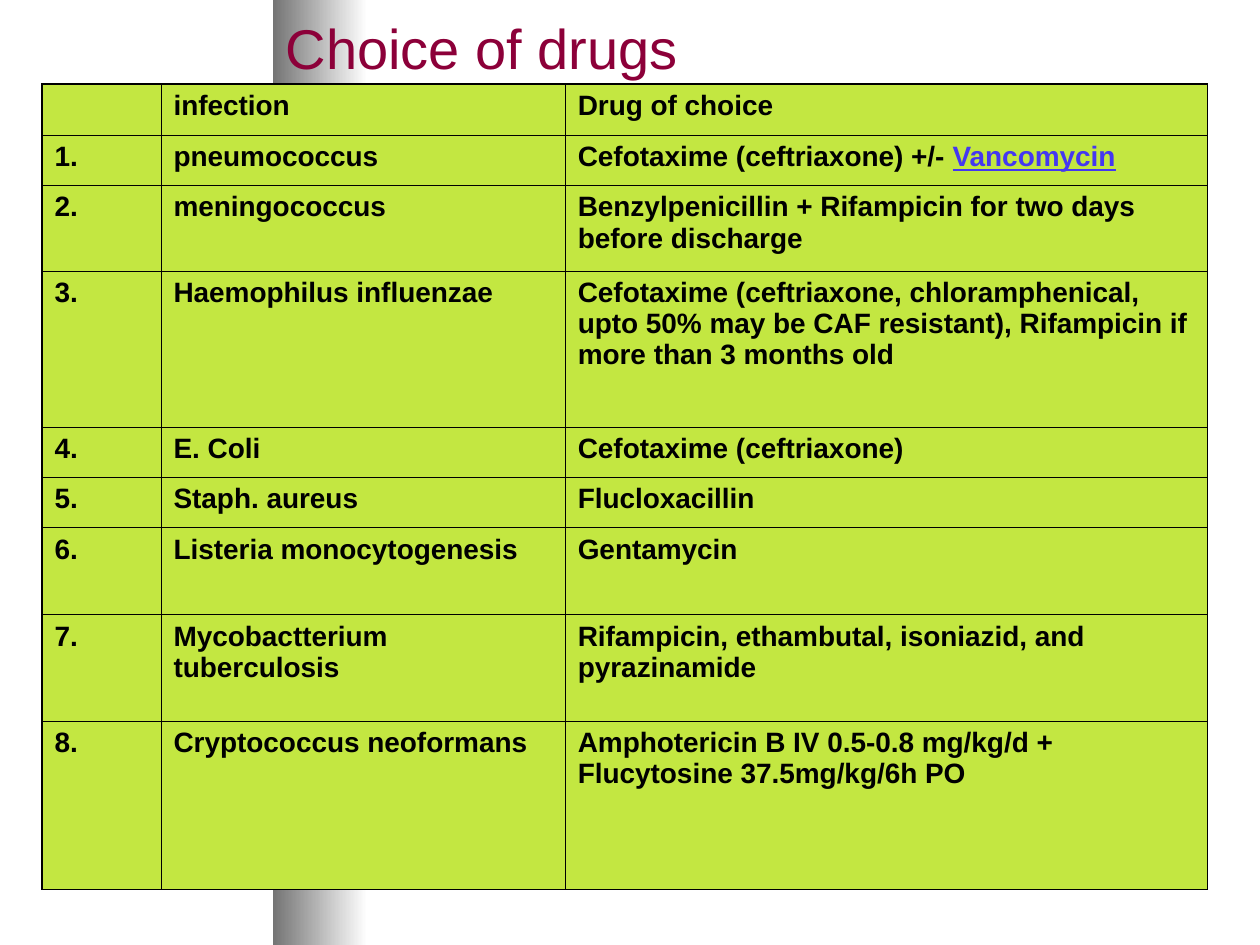
from dataclasses import dataclass

from lxml.etree import SubElement
from pptx import Presentation
from pptx.dml.color import RGBColor
from pptx.enum.shapes import MSO_SHAPE
from pptx.enum.text import MSO_ANCHOR, PP_ALIGN
from pptx.oxml.ns import qn
from pptx.util import Pt


@dataclass(frozen=True)
class Theme:
    font: str = "Arial"
    title_size: int = 32
    cell_size: int = 16
    title: str = "8C0039"
    text: str = "000000"
    link: str = "4437F1"
    cell: str = "C3E741"
    border: str = "000000"
    band_start: str = "747474"
    band_end: str = "FFFFFF"
    thin: float = 0.45
    thick: float = 1.08


THEME = Theme()
LINKED = "Vancomycin"
COLUMNS = [68, 231, 367]
DRUGS = [
    (28.8, "", "infection", "Drug of choice"),
    (28.8, "1.", "pneumococcus", "Cefotaxime (ceftriaxone) +/- Vancomycin"),
    (49, "2.", "meningococcus",
     "Benzylpenicillin + Rifampicin for two days before discharge"),
    (89, "3.", "Haemophilus influenzae",
     "Cefotaxime (ceftriaxone, chloramphenical, upto 50% may be CAF resistant), "
     "Rifampicin if more than 3 months old"),
    (28.8, "4.", "E. Coli", "Cefotaxime (ceftriaxone)"),
    (28.8, "5.", "Staph. aureus", "Flucloxacillin"),
    (49.7, "6.", "Listeria monocytogenesis", "Gentamycin"),
    (61, "7.", "Mycobactterium tuberculosis",
     "Rifampicin, ethambutal, isoniazid, and pyrazinamide"),
    (96, "8.", "Cryptococcus neoformans",
     "Amphotericin B IV 0.5-0.8 mg/kg/d + Flucytosine 37.5mg/kg/6h PO"),
]


def style_run(r, size, color, bold=False):
    r.font.name = THEME.font
    r.font.size = Pt(size)
    r.font.bold = bold
    r.font.color.rgb = RGBColor.from_string(color)


def add_title(s, text):
    title = s.shapes.title
    title.left, title.top, title.width, title.height = Pt(156), Pt(18), Pt(504), Pt(18)
    tf = title.text_frame
    tf.text = text
    tf.vertical_anchor = MSO_ANCHOR.MIDDLE
    p = tf.paragraphs[0]
    p.alignment = PP_ALIGN.LEFT
    style_run(p.runs[0], THEME.title_size, THEME.title)


def add_band(s, height):
    band = s.shapes.add_shape(MSO_SHAPE.RECTANGLE, Pt(156), 0, Pt(54), height)
    band.shadow.inherit = False
    band.line.fill.background()
    band.fill.gradient()
    band.fill.gradient_angle = 0
    for stop, color in zip(band.fill.gradient_stops, (THEME.band_start, THEME.band_end)):
        stop.color.rgb = RGBColor.from_string(color)
    s.shapes.title.element.addprevious(band.element)


def set_borders(cell, outer):
    tcPr = cell._tc.get_or_add_tcPr()
    for side in "LRTB":
        width = THEME.thick if side in outer else THEME.thin
        ln = SubElement(tcPr, qn(f"a:ln{side}"), w=str(Pt(width)))
        SubElement(SubElement(ln, qn("a:solidFill")), qn("a:srgbClr"), val=THEME.border)


def fill_cell(cell, text, outer):
    set_borders(cell, outer)
    cell.fill.solid()
    cell.fill.fore_color.rgb = RGBColor.from_string(THEME.cell)
    p = cell.text_frame.paragraphs[0]
    plain, linked, _ = text.partition(LINKED)
    if plain:
        r = p.add_run()
        r.text = plain
        style_run(r, THEME.cell_size, THEME.text, bold=True)
    if linked:
        r = p.add_run()
        r.text = linked
        style_run(r, THEME.cell_size, THEME.link, bold=True)
        r.font.underline = True


def add_drug_table(s):
    heights = [height for height, *_ in DRUGS]
    table = s.shapes.add_table(len(DRUGS), len(COLUMNS), Pt(24), Pt(48),
                               Pt(sum(COLUMNS)), Pt(sum(heights))).table
    table.first_row = table.horz_banding = False
    for column, width in zip(table.columns, COLUMNS):
        column.width = Pt(width)
    last_row, last_col = len(DRUGS) - 1, len(COLUMNS) - 1
    for i, (height, *texts) in enumerate(DRUGS):
        table.rows[i].height = Pt(height)
        for j, text in enumerate(texts):
            edges = {"L": j == 0, "R": j == last_col, "T": i == 0, "B": i == last_row}
            outer = [side for side, on_edge in edges.items() if on_edge]
            fill_cell(table.cell(i, j), text, outer)


def main():
    prs = Presentation()
    prs.slide_width, prs.slide_height = Pt(720), Pt(540)
    s = prs.slides.add_slide(prs.slide_layouts[5])
    add_title(s, "Choice of drugs")
    add_band(s, prs.slide_height)
    add_drug_table(s)
    prs.save("out.pptx")


if __name__ == "__main__":
    main()
